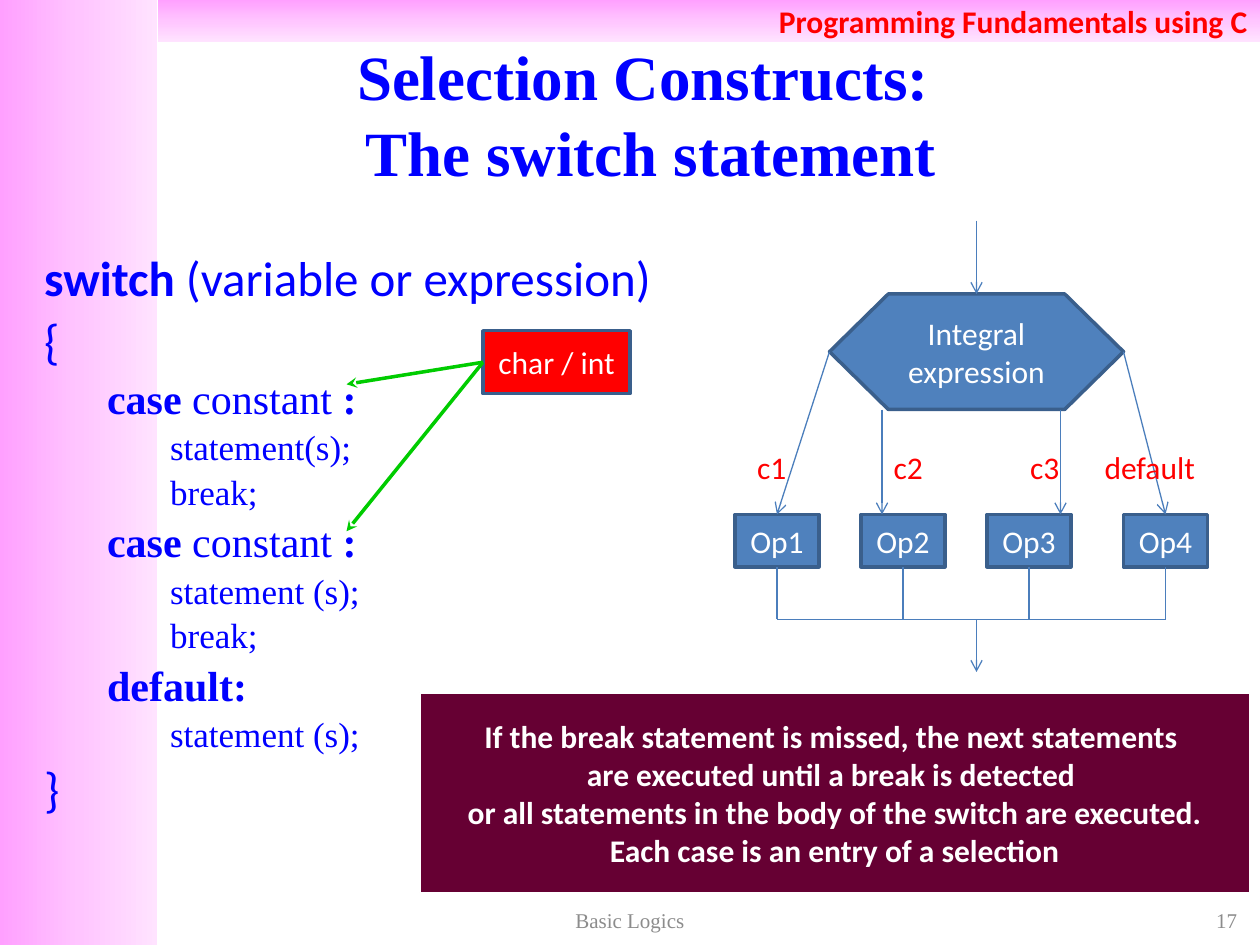
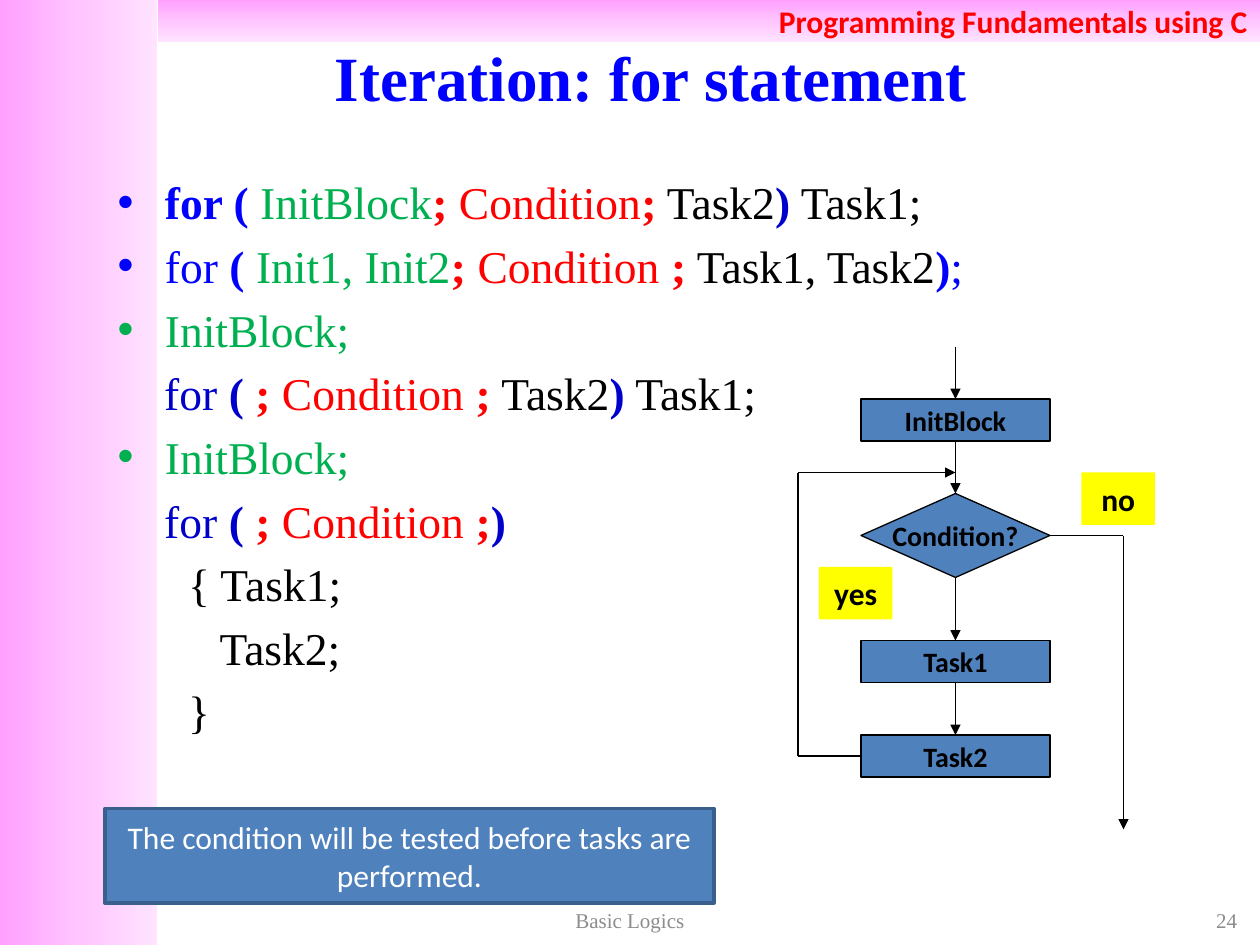
"""Build two slides on selection and iteration in C."""
from dataclasses import dataclass

from lxml import etree
from pptx import Presentation
from pptx.dml.color import RGBColor
from pptx.enum.shapes import MSO_CONNECTOR, MSO_SHAPE
from pptx.enum.text import MSO_ANCHOR, MSO_AUTO_SIZE, PP_ALIGN
from pptx.oxml import parse_xml
from pptx.oxml.ns import nsdecls, qn
from pptx.util import Emu, Inches, Pt

RECT = MSO_SHAPE.RECTANGLE
PREP = MSO_SHAPE.FLOWCHART_PREPARATION
TEST = MSO_SHAPE.FLOWCHART_DECISION
STRAIGHT = MSO_CONNECTOR.STRAIGHT
MIDDLE = MSO_ANCHOR.MIDDLE
FIXED = MSO_AUTO_SIZE.NONE
CENTER, RIGHT = PP_ALIGN.CENTER, PP_ALIGN.RIGHT
TOP, LEFT, BOTTOM, EAST = range(4)
COLS, ROWS = 120, 90
WIDTH, HEIGHT = Inches(10), Inches(7.5)


@dataclass(frozen=True)
class Theme:
    """Colours, faces and type sizes of the deck."""
    blue: str = "0000FF"
    navy: str = "0000CC"
    green: str = "00B050"
    lime: str = "00CC00"
    red: str = "FF0000"
    wine: str = "660033"
    yellow: str = "FFFF00"
    steel: str = "4F81BD"
    edge: str = "3A5F8C"
    wire: str = "4B7EBC"
    gray: str = "8C8C8C"
    black: str = "000000"
    white: str = "FFFFFF"
    fade: tuple = ("FFA0FF", "FFC5FF", "FFE3FF")
    sans: str = "Calibri"
    serif: str = "Times New Roman"
    title: int = 36
    code: int = 26
    text: int = 18
    step: int = 16
    foot: int = 12
    deep: tuple = (28, 24, 20)


class Deck:
    """Hold the style and the current slide."""

    def __init__(self, theme):
        """Start a deck with the shared bands on its master."""
        self.theme = theme
        self.prs = Presentation()
        self.prs.slide_width, self.prs.slide_height = WIDTH, HEIGHT
        self.slide = None

    def tint(self, name):
        """Return a theme colour by name."""
        return RGBColor.from_string(getattr(self.theme, name))

    def area(self, x, y, w, h):
        """Turn grid cells into lengths."""
        across, down = WIDTH / COLS, HEIGHT / ROWS
        return [Emu(round(n * u)) for n, u in zip((x, y, w, h), (across, down) * 2)]

    def style(self, para, size, color=None, bold=None, face="sans"):
        """Set the font of a paragraph."""
        font = para.font
        font.name, font.size = getattr(self.theme, face), Pt(size)
        if bold is not None:
            font.bold = bold
        if color:
            font.color.rgb = self.tint(color)

    def fill(self, shape, text, size, color, bold=False, face="sans", align=CENTER, wrap=True):
        """Put uniform lines of text in a shape."""
        frame = shape.text_frame
        frame.text = text
        frame.auto_size, frame.word_wrap = FIXED, wrap
        frame.vertical_anchor = MIDDLE
        for para in frame.paragraphs:
            para.alignment = align
            self.style(para, size, color, bold, face)

    def page(self, title, tall, number):
        """Add a slide with its title and footer."""
        first = self.slide is None
        self.slide = self.prs.slides.add_slide(self.prs.slide_layouts[1])
        if first:
            self.bands()
        head = self.slide.shapes.title
        head.left, head.top, head.width, head.height = self.area(10, 3.6, 104, tall)
        self.fill(head, title, self.theme.title, "blue", True, "serif")
        foot = self.theme.foot
        self.label(number, (91, 86, 28, 3.2), foot, "gray", "serif", RIGHT)
        self.label("Basic Logics", (41, 86, 38, 3.2), foot, "gray", "serif")

    def bands(self):
        """Draw the fading bands and move them to the master."""
        side = self.band((0, 0, 15, ROWS), 0)
        top = self.band((15, 0, COLS - 15, 4), 90)
        self.fill(top, "Programming Fundamentals using C", self.theme.text, "red", True, align=RIGHT)
        tree = self.prs.slide_master.shapes._spTree
        for spot, shape in enumerate((side, top), 2):
            tree.insert(spot, shape._element)

    def band(self, cells, angle):
        """Draw one fading band."""
        shape = self.shape(RECT, cells, "white")
        stops = "".join(
            f'<a:gs pos="{i * 50000}"><a:srgbClr val="{c}"/></a:gs>'
            for i, c in enumerate(self.theme.fade))
        fade = parse_xml(
            f'<a:gradFill {nsdecls("a")} rotWithShape="1"><a:gsLst>{stops}</a:gsLst>'
            f'<a:lin ang="{angle * 60000}" scaled="0"/></a:gradFill>')
        props = shape._element.spPr
        props.replace(props.find(qn("a:solidFill")), fade)
        return shape

    def shape(self, kind, cells, fill, line=None, weight=0.75):
        """Draw a flat preset shape."""
        shape = self.slide.shapes.add_shape(kind, *self.area(*cells))
        shape.shadow.inherit = False
        shape.fill.solid()
        shape.fill.fore_color.rgb = self.tint(fill)
        if line:
            shape.line.color.rgb = self.tint(line)
            shape.line.width = Pt(weight)
        else:
            shape.line.fill.background()
        return shape

    def box(self, text, cells, fill="steel", kind=RECT):
        """Draw a framed box with white text."""
        shape = self.shape(kind, cells, fill, "edge", 2)
        self.fill(shape, text, self.theme.text, "white")
        return shape

    def step(self, text, cells, kind=RECT):
        """Draw a flow step with bold black text."""
        shape = self.shape(kind, cells, "steel", "black")
        self.fill(shape, text, self.theme.step, "black", True, wrap=False)
        return shape

    def tag(self, text, cells):
        """Draw a yellow branch tag."""
        shape = self.shape(RECT, cells, "yellow")
        self.fill(shape, text, self.theme.text, "black", True, wrap=False)

    def label(self, text, cells, size, color, face="sans", align=CENTER):
        """Add a plain text box."""
        shape = self.slide.shapes.add_textbox(*self.area(*cells))
        self.fill(shape, text, size, color, False, face, align)

    def line(self, start, end, color, weight=0.75, head=None, tail=None):
        """Join two ends, each a grid point or a shape and its side."""
        free = [(0, 0) if hasattr(e[0], "shape_id") else e for e in (start, end)]
        wire = self.slide.shapes.add_connector(STRAIGHT, *self.area(*free[0], *free[1]))
        if hasattr(start[0], "shape_id"):
            wire.begin_connect(*start)
        if hasattr(end[0], "shape_id"):
            wire.end_connect(*end)
        wire.line.color.rgb = self.tint(color)
        wire.line.width = Pt(weight)
        stroke = wire.line._get_or_add_ln()
        for name, form in (("a:headEnd", head), ("a:tailEnd", tail)):
            if form:
                etree.SubElement(stroke, qn(name), type=form)
        etree.SubElement(wire._element.spPr, qn("a:effectLst"))

    def body(self, cells):
        """Place the body and return its text frame."""
        shape = self.slide.placeholders[1]
        shape.left, shape.top, shape.width, shape.height = self.area(*cells)
        frame = shape.text_frame
        frame.auto_size, frame.word_wrap = FIXED, True
        return frame

    def item(self, frame, parts, size, face="serif", level=0, mark=False, left=None, pitch=None):
        """Add a list row of (text, colour, bold) parts."""
        para = frame.paragraphs[0]
        if para.runs:
            para = frame.add_paragraph()
        para.level = level
        props = para._p.get_or_add_pPr()
        if not mark:
            etree.SubElement(props, qn("a:buNone"))
        if left is not None:
            props.set("marL", str(Inches(left)))
            props.set("indent", "0")
        if pitch:
            para.line_spacing = pitch
        self.style(para, size, face=face)
        for text, color, bold in parts:
            run = para.add_run()
            run.text = text
            run.font.bold = bold
            run.font.color.rgb = self.tint(color)


def switch(deck):
    """Build the slide on the switch statement."""
    theme = deck.theme
    deck.page("Selection Constructs: \vThe switch statement", 14.4, "17")
    frame = deck.body((3, 23.6, 71, 59.4))
    case = (1, ("case", True), (" constant ", False), (":", True))
    rows = [
        (0, ("switch", True), (" (variable or expression)", False)),
        (0, ("{", False)),
        case, (2, ("statement(s);", False)), (2, ("break;", False)),
        case, (2, ("statement (s);", False)), (2, ("break;", False)),
        (1, ("default:", True)), (2, ("statement (s);", False)),
        (0, ("}", False)),
    ]
    for level, *parts in rows:
        parts = [(text, "blue", bold) for text, bold in parts]
        face = "serif" if level else "sans"
        deck.item(frame, parts, theme.deep[level], face, level, pitch=0.9)

    kind = deck.box("char / int", (46, 31.5, 14, 6), "red")
    for y in (36.6, 50.6):
        deck.line((33, y), (kind, LEFT), "lime", 2, head="stealth")
    note = deck.shape(RECT, (40, 66, 79, 19), "wine", "white")
    deck.fill(note, "If the break statement is missed, the next statements \n"
              "are executed until a break is detected \n"
              "or all statements in the body of the switch are executed.\n"
              "Each case is an entry of a selection", theme.text, "white", True, wrap=False)

    test = deck.box("Integral\nexpression", (79, 28, 28, 11), kind=PREP)
    deck.line((93, 21), (test, TOP), "wire", tail="arrow")
    ops = [deck.box(f"Op{i}", (x, 49, 8, 5)) for i, x in enumerate((70, 82, 94, 107), 1)]
    deck.line((test, LEFT), (ops[0], TOP), "wire", tail="arrow")
    for x in (84, 101):
        deck.line((x, 39), (x, 49), "wire", tail="arrow")
    deck.line((test, EAST), (ops[3], TOP), "wire", tail="arrow")
    for op, x in zip(ops, (74, 86, 98, 111)):
        deck.line((op, BOTTOM), (x, 59), "wire")
    deck.line((74, 59), (111, 59), "wire")
    deck.line((93, 59), (93, 64), "wire", tail="arrow")
    for text, x, w in (("c1", 70, 7), ("c2", 83, 7), ("c3", 96, 7), ("default", 103, 13)):
        deck.label(text, (x, 42, w, 5), theme.text, "red")


def loop(deck):
    """Build the slide on the for statement."""
    theme = deck.theme
    deck.page("Iteration: for statement", 7.4, "24")
    frame = deck.body((10, 16, 86, 64.4))
    init = ("InitBlock;", "green", False)
    semi, stop = ("; ", "red", True), (";", "red", True)
    cond = ("Condition ", "red", False)
    shut, task = (")", "navy", True), (" Task1;", "black", False)
    after = (" Task2", "black", False)
    bare = [("for ", "navy", False), ("( ", "navy", True), semi, cond, stop]
    rows = [
        (None, [("for ( ", "blue", True), ("InitBlock", "green", False), semi,
                ("Condition", "red", False), stop, after, shut, task]),
        (None, [("for ", "blue", False), ("( ", "blue", True), ("Init1, Init2", "green", False),
                semi, cond, stop, (" Task1, Task2", "black", False),
                (")", "blue", True), (";", "blue", False)]),
        (None, [init]),
        (0.37, bare + [after, shut, task]),
        (None, [init]),
        (0.37, bare + [shut]),
        (0.56, [("{ Task1;", "black", False)]),
        (0.81, [("Task2;", "black", False)]),
        (0.56, [("}", "black", False)]),
    ]
    for left, parts in rows:
        deck.item(frame, parts, theme.code, mark=left is None, left=left)

    start = deck.step("InitBlock", (82, 38, 18, 4))
    test = deck.step("Condition?", (82, 47, 18, 8), TEST)
    first = deck.step("Task1", (82, 61, 18, 4))
    last = deck.step("Task2", (82, 70, 18, 4))
    deck.tag("yes", (78, 54, 7, 5))
    deck.tag("no", (103, 45, 7, 5))
    chain = [start, test, first, last]
    deck.line((91, 33), (start, TOP), "black", tail="triangle")
    for above, below in zip(chain, chain[1:]):
        deck.line((above, BOTTOM), (below, TOP), "black", tail="triangle")
    back = [(last, LEFT), (76, 72), (76, 45), (91, 45)]
    leave = [(test, EAST), (107, 51), (107, 79)]
    for route in (back, leave):
        for spot, ends in enumerate(zip(route, route[1:]), 2):
            deck.line(*ends, "black", tail="triangle" if spot == len(route) else None)
    deck.box("The condition will be tested before tasks are performed.", (10, 77, 58, 9))


def main():
    """Build and save the deck."""
    deck = Deck(Theme())
    switch(deck)
    loop(deck)
    deck.prs.save("out.pptx")


if __name__ == "__main__":
    main()
